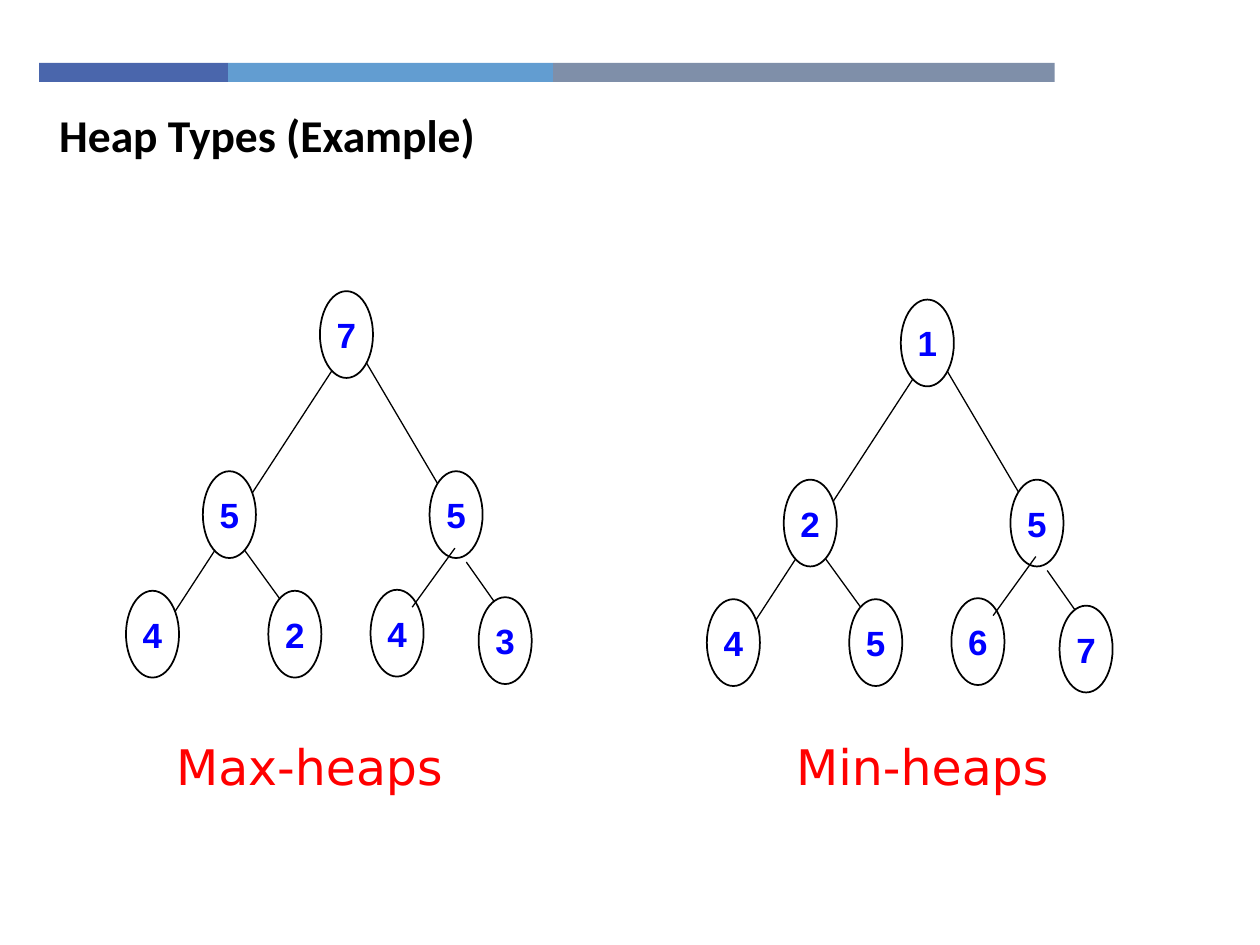
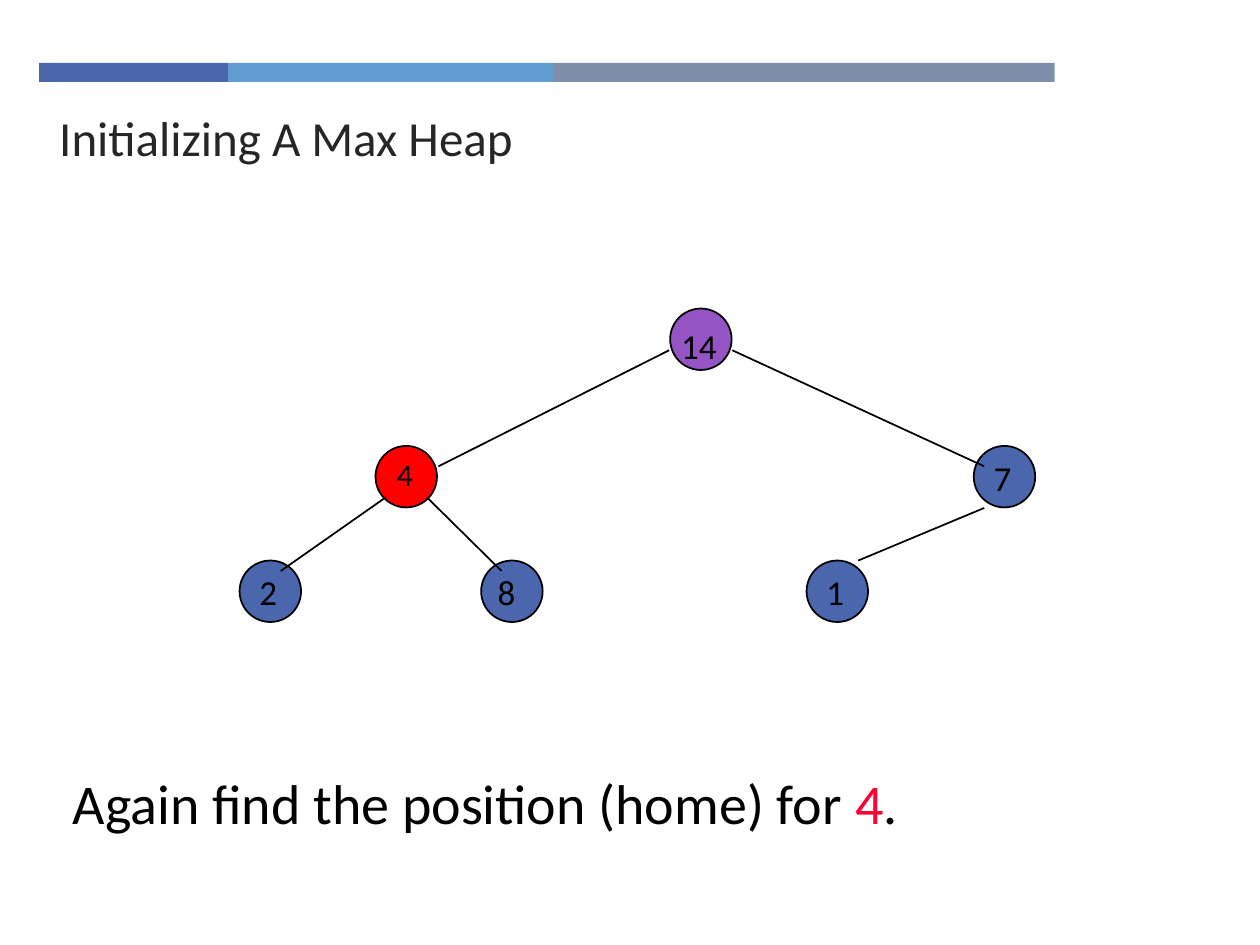
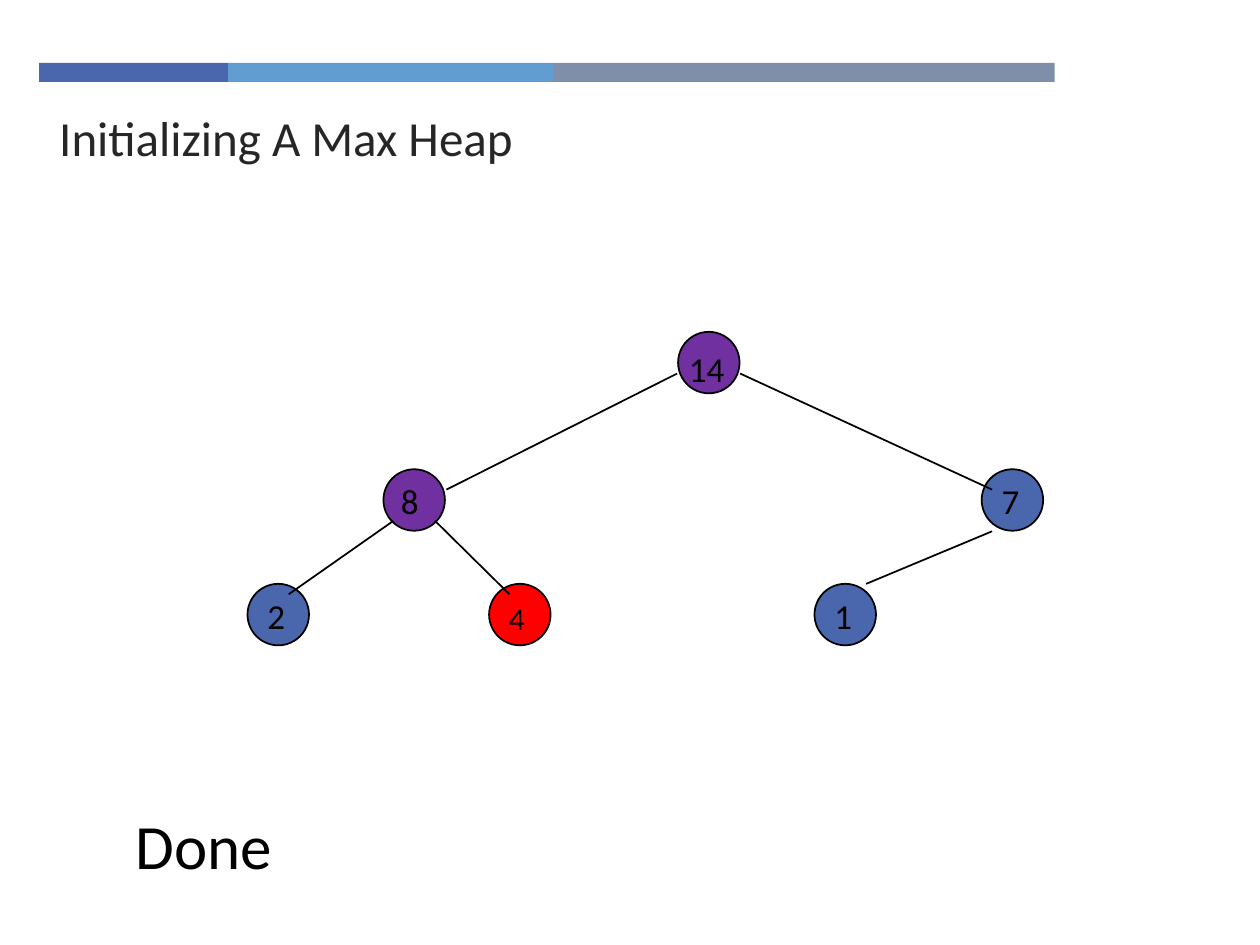
from lxml.etree import SubElement
from pptx import Presentation
from pptx.dml.color import RGBColor
from pptx.enum.shapes import MSO_CONNECTOR, MSO_SHAPE
from pptx.enum.text import MSO_ANCHOR, MSO_AUTO_SIZE, PP_ALIGN
from pptx.oxml.ns import qn
from pptx.util import Cm, Pt

BLACK = RGBColor(0x00, 0x00, 0x00)
WHITE = RGBColor(0xFF, 0xFF, 0xFF)
CHARCOAL = RGBColor(0x26, 0x26, 0x26)
INDIGO = RGBColor(0x4A, 0x66, 0xAC)
SKY = RGBColor(0x62, 0x9D, 0xD1)
SLATE = RGBColor(0x7F, 0x8F, 0xA9)
BLUE = RGBColor(0x00, 0x00, 0xFF)
RED = RGBColor(0xFF, 0x00, 0x00)
CRIMSON = RGBColor(0xFF, 0x00, 0x33)
VIOLET = RGBColor(0x94, 0x54, 0xC3)
PURPLE = RGBColor(0x70, 0x30, 0xA0)

# All positions and sizes are in centimetres.
BAND_LEFT, BAND_TOP, BAND_HEIGHT = 0.79, 1.27, 0.38
BANDS = [(3.81, INDIGO), (6.55, SKY), (10.11, SLATE)]
TITLE_BOX = (0.94, 2.03, 18.19, 1.37)

# Heap types: nodes (left, top) in level order, edges (x1, y1, x2, y2)
TYPE_SIZE = (1.07, 1.75)
TYPE_NODES = [(6.45, 5.87), (4.09, 9.5), (8.66, 9.5), (2.54, 11.91),
              (5.41, 11.91), (7.47, 11.89), (9.65, 12.04)]
TYPE_EDGES = [(4.9, 11.05, 5.69, 12.14), (2.92, 13.26, 7.26, 6.6),
              (9.17, 10.34, 6.73, 6.2), (9.4, 11.33, 10.19, 12.45)]
TYPE_FRONT_EDGE = (9.17, 11.05, 8.31, 12.24)
HEAP_TYPES = [  # values, shift of the tree, caption, caption left
    ("7554243", (0, 0), "Max-heaps", 3.3),
    ("1254567", (11.71, 0.17), "Min-heaps", 15.8),
]

# Max heap under construction
HEAP_SIZE = (1.24, 1.24)
HEAP_NODES = [(13.51, 6.22), (7.57, 8.99), (19.63, 8.99),
              (4.83, 11.3), (9.7, 11.3), (16.26, 11.3)]
HEAP_EDGES = [(13.49, 7.06, 8.84, 9.4), (14.76, 7.06, 19.84, 9.4),
              (7.77, 10.03, 5.66, 11.51), (8.61, 10.03, 10.11, 11.51),
              (19.84, 10.24, 17.3, 11.3)]
LABEL_OFFSET = (0.15, 0.08)
ROOT_OFFSET = (-0.03, 0.19)
HEAP_STEPS = [
    {"shift": (0, 0),
     "nodes": [("14", VIOLET, ROOT_OFFSET, 20), ("4", RED, (0.18, 0.05), 18),
               ("7", INDIGO, LABEL_OFFSET, 20), ("2", INDIGO, LABEL_OFFSET, 20),
               ("8", INDIGO, (0.08, 0.08), 20), ("1", INDIGO, LABEL_OFFSET, 20)],
     "note": [("Again find the position (home) for ", BLACK), ("4", CRIMSON), (".", BLACK)],
     "note_box": (1.22, 15.37, 17.5, 1.63), "note_size": 32},
    {"shift": (0.16, 0.47),
     "nodes": [("14", PURPLE, ROOT_OFFSET, 20), ("8", PURPLE, (0.1, 0.08), 20),
               ("7", INDIGO, LABEL_OFFSET, 20), ("2", INDIGO, LABEL_OFFSET, 20),
               ("4", RED, (0.15, 0.18), 18), ("1", INDIGO, LABEL_OFFSET, 20)],
     "note": [("Done", BLACK)],
     "note_box": (2.49, 16.13, 6.65, 1.8), "note_size": 36},
]


def write(tf, text, size, color=BLACK, font="Calibri", bold=False,
          align=PP_ALIGN.LEFT, anchor=MSO_ANCHOR.TOP, wrap=True):
    """Fill a text frame; text is a string or a list of (text, colour) runs."""
    tf.word_wrap = wrap
    tf.auto_size = MSO_AUTO_SIZE.NONE
    tf.vertical_anchor = anchor
    p = tf.paragraphs[0]
    p.alignment = align
    for run_text, run_color in [(text, color)] if isinstance(text, str) else text:
        r = p.add_run()
        r.text = run_text
        r.font.name, r.font.size, r.font.bold = font, Pt(size), bold
        r.font.color.rgb = run_color


def add_text(slide, box, text, size, **style):
    write(slide.shapes.add_textbox(*map(Cm, box)).text_frame, text, size, **style)


def add_filled(slide, kind, box, fill, outline=None):
    sp = slide.shapes.add_shape(kind, *map(Cm, box))
    sp.shadow.inherit = False
    sp.fill.solid()
    sp.fill.fore_color.rgb = fill
    if outline is None:
        sp.line.fill.background()
    else:
        sp.line.color.rgb = outline
        sp.line.width = Pt(1)
    return sp


def add_edge(slide, ends, shift, width):
    dx, dy = shift
    x1, y1, x2, y2 = ends
    line = slide.shapes.add_connector(
        MSO_CONNECTOR.STRAIGHT, Cm(x1 + dx), Cm(y1 + dy), Cm(x2 + dx), Cm(y2 + dy))
    line.line.color.rgb = BLACK
    line.line.width = Pt(width)
    SubElement(line.element.spPr, qn("a:effectLst"))


def moved(point, shift):
    return point[0] + shift[0], point[1] + shift[1]


def new_slide(prs, title, size, **style):
    slide = prs.slides.add_slide(prs.slide_layouts[5])
    left = BAND_LEFT
    for width, color in BANDS:
        add_filled(slide, MSO_SHAPE.RECTANGLE, (left, BAND_TOP, width, BAND_HEIGHT), color)
        left += width
    sp = slide.shapes.title
    sp.left, sp.top, sp.width, sp.height = map(Cm, TITLE_BOX)
    write(sp.text_frame, title, size, **style)
    return slide


def add_type_tree(slide, values, shift):
    for ends in TYPE_EDGES:
        add_edge(slide, ends, shift, 0.75)
    for value, node in zip(values, TYPE_NODES):
        sp = add_filled(slide, MSO_SHAPE.OVAL, moved(node, shift) + TYPE_SIZE, WHITE, BLACK)
        write(sp.text_frame, value, 20, color=BLUE, font="Arial", bold=True,
              align=PP_ALIGN.CENTER, anchor=MSO_ANCHOR.MIDDLE, wrap=False)
    add_edge(slide, TYPE_FRONT_EDGE, shift, 0.75)


def add_heap(slide, nodes, shift):
    places = [moved(node, shift) for node in HEAP_NODES]
    for place, (_, fill, _, _) in zip(places, nodes):
        add_filled(slide, MSO_SHAPE.OVAL, place + HEAP_SIZE, fill, BLACK)
    for ends in HEAP_EDGES:
        add_edge(slide, ends, shift, 1)
    for place, (value, _, offset, size) in zip(places, nodes):
        width = 2.34 if len(value) > 1 else 1
        add_text(slide, moved(place, offset) + (width, 1.12), value, size)


def main():
    prs = Presentation()
    prs.slide_width, prs.slide_height = Cm(25.4), Cm(19.05)

    slide = new_slide(prs, "Heap Types (Example)", 26, bold=True)
    for values, shift, caption, left in HEAP_TYPES:
        add_type_tree(slide, values, shift)
        add_text(slide, (left, 14.73, 6.2, 1.45), caption, 28, color=RED, font="DejaVu Sans")

    for step in HEAP_STEPS:
        slide = new_slide(prs, "Initializing A Max Heap", 28, color=CHARCOAL)
        add_heap(slide, step["nodes"], step["shift"])
        add_text(slide, step["note_box"], step["note"], step["note_size"])

    prs.save("out.pptx")


if __name__ == "__main__":
    main()
